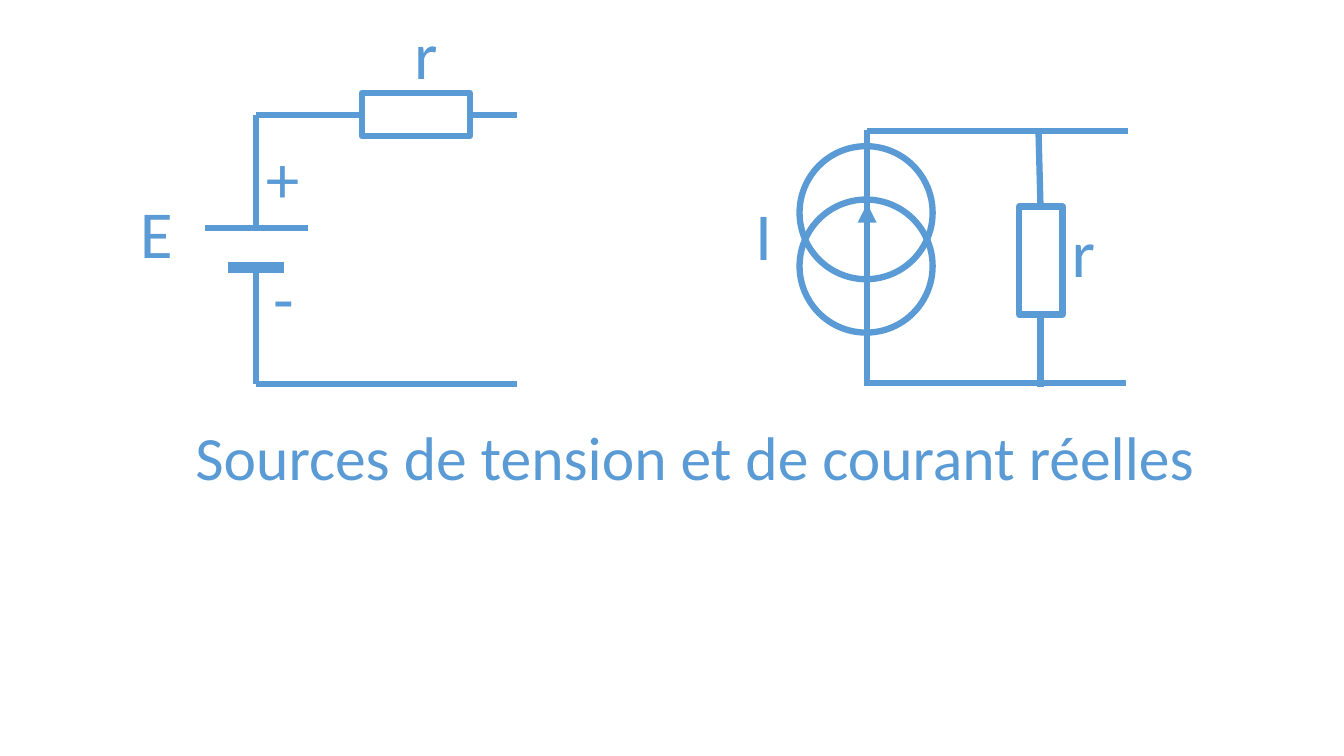
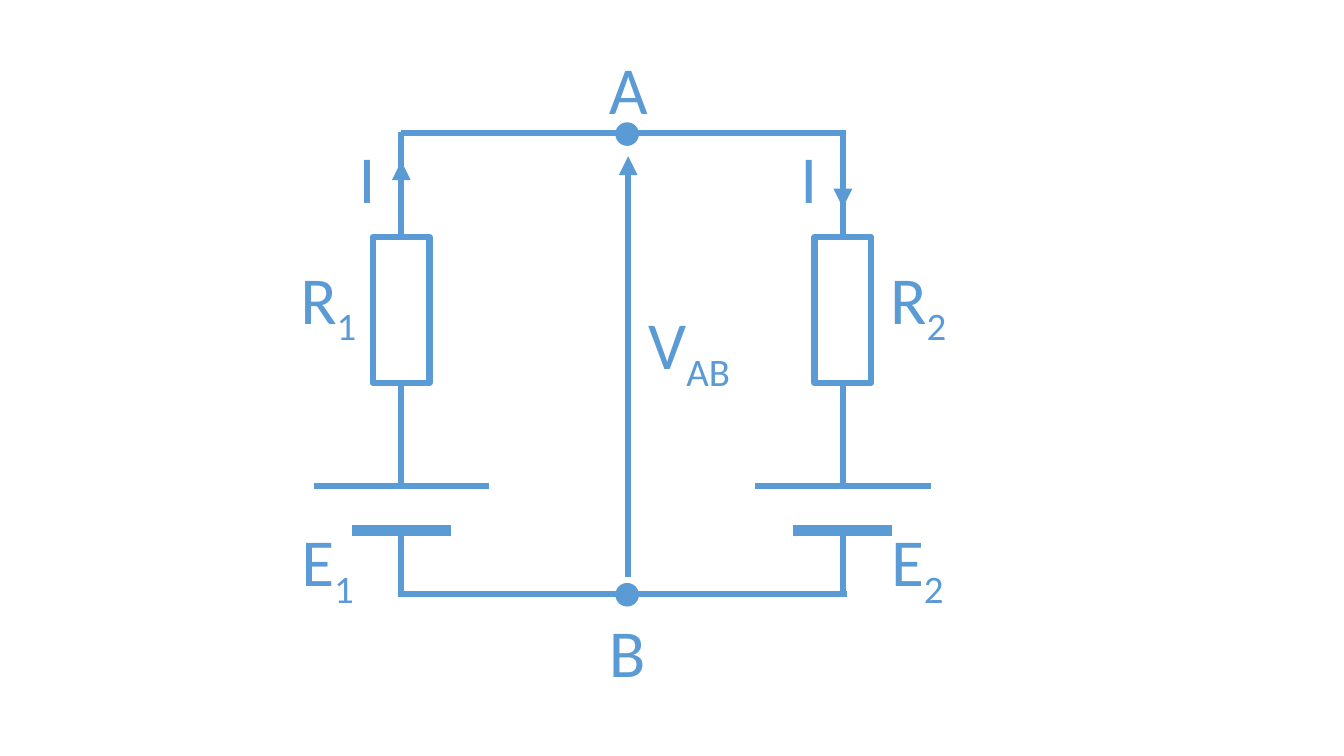
from lxml import etree
from pptx import Presentation
from pptx.dml.color import RGBColor
from pptx.enum.shapes import MSO_CONNECTOR, MSO_SHAPE
from pptx.enum.text import MSO_AUTO_SIZE
from pptx.oxml.ns import qn
from pptx.util import Inches, Pt

STRAIGHT = MSO_CONNECTOR.STRAIGHT
RECT = MSO_SHAPE.RECTANGLE
OVAL = MSO_SHAPE.OVAL
GROW = MSO_AUTO_SIZE.SHAPE_TO_FIT_TEXT

COLORS = {"ink": "5B9BD5", "paper": "FFFFFF"}
WIRE, PLATE, THIN = 4.5, 8, 1


class Circuit:
    """Draws circuit elements on the current slide in one shared style."""

    def __init__(self, prs):
        self.prs = prs
        self.s = None

    def new_slide(self):
        self.s = self.prs.slides.add_slide(self.prs.slide_layouts[6])

    def color(self, name):
        return RGBColor.from_string(COLORS[name])

    def outline(self, sp, width):
        sp.line.color.rgb = self.color("ink")
        sp.line.width = Pt(width)

    def wire(self, x1, y1, x2, y2, width=WIRE, arrow=False):
        cn = self.s.shapes.add_connector(
            STRAIGHT, Inches(x1), Inches(y1), Inches(x2), Inches(y2))
        self.outline(cn, width)
        if arrow:
            ln = cn.line.fill._xPr
            etree.SubElement(ln, qn("a:tailEnd"), type="triangle")
        etree.SubElement(cn._element.spPr, qn("a:effectLst"))

    def shape(self, kind, x, y, w, h, fill=None, width=WIRE):
        sp = self.s.shapes.add_shape(
            kind, Inches(x), Inches(y), Inches(w), Inches(h))
        sp.shadow.inherit = False
        if fill:
            sp.fill.solid()
            sp.fill.fore_color.rgb = self.color(fill)
        else:
            sp.fill.background()
        self.outline(sp, width)

    def label(self, x, y, w, text, sub="", size=48, h=0.91):
        box = self.s.shapes.add_textbox(
            Inches(x), Inches(y), Inches(w), Inches(h))
        tf = box.text_frame
        for key, value in {"word_wrap": False, "auto_size": GROW}.items():
            setattr(tf, key, value)
        p = tf.paragraphs[0]
        for part in filter(None, (text, sub)):
            r = p.add_run()
            r.text = part
            for key, value in {"name": "Calibri", "size": Pt(size)}.items():
                setattr(r.font, key, value)
            r.font.color.rgb = self.color("ink")
        if sub:
            r.font._element.set("baseline", "-25000")

    def battery(self, x, start, plus, minus, end, long_half, short_half):
        self.wire(x, start, x, plus)
        self.wire(x, minus, x, end)
        self.wire(x - short_half, minus, x + short_half, minus, PLATE)
        self.wire(x - long_half, plus, x + long_half, plus)

    def branch(self, x, number, arrow_from, arrow_to, label_x):
        self.wire(x, 1.31, x, 2.35)
        self.wire(x, arrow_from, x, arrow_to, arrow=True)
        self.battery(x, 3.8, 4.82, 5.26, 5.9, 0.87, 0.49)
        self.shape(RECT, x - 0.28, 2.35, 0.56, 1.45, "paper")
        self.label(x - 0.52, 1.3, 0.37, "I")
        self.label(label_x, 2.5, 0.8, "R", number)
        self.label(label_x + 0.01, 5.1, 0.76, "E", number)


def real_sources(c):
    c.new_slide()
    left, right = 2.54, 8.6
    c.battery(left, 1.14, 2.26, 2.65, 3.81, 0.51, 0.28)
    c.wire(left, 1.14, 3.59, 1.14)
    c.wire(4.66, 1.14, 5.13, 1.14)
    c.wire(left, 3.81, 5.13, 3.81)
    c.shape(RECT, 3.59, 0.92, 1.07, 0.43)

    c.wire(right, 1.29, right, 3.8)
    for y in (1.45, 1.98):
        c.shape(OVAL, 7.93, y, 1.32, 1.32)
    c.wire(right, 3.8, right, 2.02, arrow=True)
    c.wire(right, 1.3, 11.19, 1.3)
    c.wire(8.57, 3.8, 11.17, 3.8)
    c.wire(10.3, 1.3, 10.32, 2.05)
    c.wire(10.32, 3.11, 10.32, 3.84)
    c.shape(RECT, 10.11, 2.05, 0.43, 1.07)

    for x, y, w, text in (
        (2.54, 1.3, 0.54, "+"),
        (2.61, 2.49, 0.41, "-"),
        (1.29, 1.85, 0.53, "E"),
        (4.01, 0.07, 0.44, "r"),
        (7.39, 1.87, 0.37, "I"),
        (10.53, 2.04, 0.44, "r"),
    ):
        c.label(x, y, w, text)
    c.label(1.84, 4.11, 10.22, "Sources de tension et de courant réelles",
            size=44, h=0.84)


def two_branches(c):
    c.new_slide()
    c.wire(3.98, 1.32, 8.39, 1.32)
    c.wire(3.95, 5.89, 8.4, 5.89)
    for y in (1.22, 5.79):
        c.shape(OVAL, 6.11, y, 0.22, 0.22, "ink", THIN)
    c.wire(6.23, 5.72, 6.23, 1.55, arrow=True)
    c.label(5.94, 0.42, 0.59, "A")
    c.label(5.94, 6.01, 0.57, "B")
    c.label(6.33, 2.95, 1.06, "V", "AB")
    c.branch(3.98, "1", 2.32, 1.6, 2.88)
    c.branch(8.36, "2", 1.6, 2.06, 8.73)


def main():
    prs = Presentation()
    prs.slide_width, prs.slide_height = Inches(13.33), Inches(7.5)
    c = Circuit(prs)
    real_sources(c)
    two_branches(c)
    prs.save("out.pptx")


if __name__ == "__main__":
    main()
